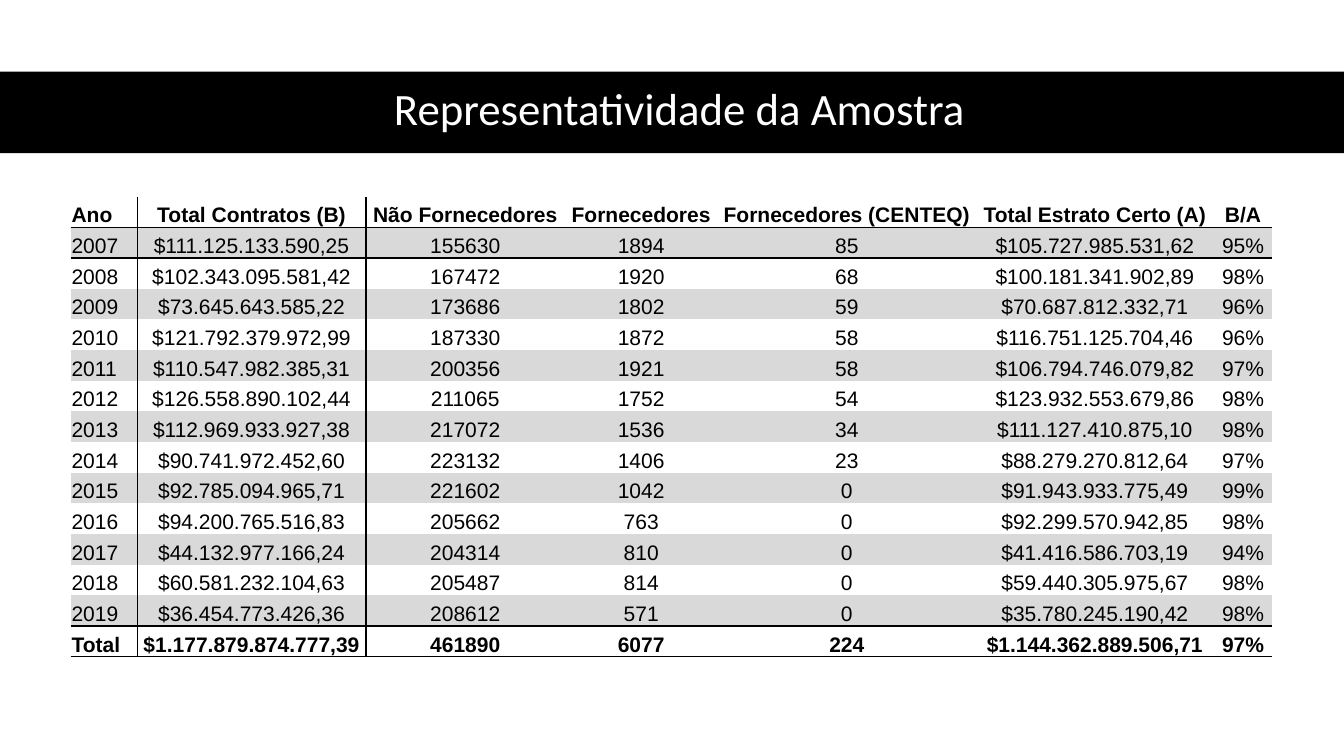
from dataclasses import dataclass

from lxml.etree import SubElement
from pptx import Presentation
from pptx.dml.color import RGBColor
from pptx.enum.shapes import MSO_SHAPE
from pptx.enum.text import MSO_ANCHOR, PP_ALIGN
from pptx.oxml.ns import qn
from pptx.util import Inches, Pt


@dataclass(frozen=True)
class Theme:
    """Colours, fonts and type sizes of the slide."""
    black: str = "000000"
    white: str = "FFFFFF"
    band: str = "D9D9D9"
    title_font: str = "Calibri"
    table_font: str = "Arial"
    title_size: int = 32
    table_size: int = 15
    rule_width: int = 1


THEME = Theme()
NO_GRID_STYLE = "{2D5ABB26-0587-4C30-8999-92F81FD0307C}"
COLUMN_WIDTHS = (0.66, 2.27, 1.97, 1.52, 2.56, 2.36, 0.58)
ROWS = (
    ("Ano", "Total Contratos (B)", "Não Fornecedores", "Fornecedores",
     "Fornecedores (CENTEQ)", "Total Estrato Certo (A)", "B/A"),
    ("2007", "$111.125.133.590,25", "155630", "1894", "85", "$105.727.985.531,62", "95%"),
    ("2008", "$102.343.095.581,42", "167472", "1920", "68", "$100.181.341.902,89", "98%"),
    ("2009", "$73.645.643.585,22", "173686", "1802", "59", "$70.687.812.332,71", "96%"),
    ("2010", "$121.792.379.972,99", "187330", "1872", "58", "$116.751.125.704,46", "96%"),
    ("2011", "$110.547.982.385,31", "200356", "1921", "58", "$106.794.746.079,82", "97%"),
    ("2012", "$126.558.890.102,44", "211065", "1752", "54", "$123.932.553.679,86", "98%"),
    ("2013", "$112.969.933.927,38", "217072", "1536", "34", "$111.127.410.875,10", "98%"),
    ("2014", "$90.741.972.452,60", "223132", "1406", "23", "$88.279.270.812,64", "97%"),
    ("2015", "$92.785.094.965,71", "221602", "1042", "0", "$91.943.933.775,49", "99%"),
    ("2016", "$94.200.765.516,83", "205662", "763", "0", "$92.299.570.942,85", "98%"),
    ("2017", "$44.132.977.166,24", "204314", "810", "0", "$41.416.586.703,19", "94%"),
    ("2018", "$60.581.232.104,63", "205487", "814", "0", "$59.440.305.975,67", "98%"),
    ("2019", "$36.454.773.426,36", "208612", "571", "0", "$35.780.245.190,42", "98%"),
    ("Total", "$1.177.879.874.777,39", "461890", "6077", "224", "$1.144.362.889.506,71", "97%"),
)


def format_text(paragraph, font_name, size, color, bold=False):
    """Format every run of a paragraph."""
    for run in paragraph.runs:
        run.font.name = font_name
        run.font.size = Pt(size)
        run.font.bold = bold
        run.font.color.rgb = RGBColor.from_string(color)


def add_title_band(slide, left, top, width, height):
    """Draw the black band and the title centred over it."""
    band = slide.shapes.add_shape(MSO_SHAPE.RECTANGLE, left, top, width, height)
    band.shadow.inherit = False
    band.fill.solid()
    band.fill.fore_color.rgb = RGBColor.from_string(THEME.black)
    band.line.fill.background()

    title = slide.shapes.add_textbox(left + Inches(0.61), top - Inches(0.01),
                                     Inches(12.26), height)
    text_frame = title.text_frame
    text_frame.word_wrap = True
    text_frame.vertical_anchor = MSO_ANCHOR.MIDDLE
    text_frame.text = "Representatividade da Amostra"
    paragraph = text_frame.paragraphs[0]
    paragraph.alignment = PP_ALIGN.CENTER
    paragraph.line_spacing = 0.9
    format_text(paragraph, THEME.title_font, THEME.title_size, THEME.white)


def add_borders(cell, sides):
    """Rule the given sides of a cell, in the order L, R, T, B."""
    properties = cell._tc.get_or_add_tcPr()
    for side in sides:
        line = SubElement(properties, qn(f"a:ln{side}"), w=str(Pt(THEME.rule_width)))
        fill = SubElement(line, qn("a:solidFill"))
        SubElement(fill, qn("a:srgbClr"), val=THEME.black)


def border_sides(row, column):
    """Return the ruled sides of the cell at a row and column."""
    last = len(ROWS) - 1
    rules = (
        ("L", column == 1),
        ("R", column == 0),
        ("T", row in (1, last)),
        ("B", row in (0, last - 1, last)),
    )
    return [side for side, ruled in rules if ruled]


def fill_cell(cell, text, row, column):
    """Write and format one table cell."""
    cell.margin_left = cell.margin_right = cell.margin_top = Inches(0.01)
    cell.margin_bottom = 0
    cell.vertical_anchor = MSO_ANCHOR.BOTTOM
    add_borders(cell, border_sides(row, column))
    cell.fill.solid()
    cell.fill.fore_color.rgb = RGBColor.from_string(THEME.band if row % 2 else THEME.white)
    cell.text_frame.text = text
    paragraph = cell.text_frame.paragraphs[0]
    paragraph.alignment = PP_ALIGN.CENTER if column else PP_ALIGN.LEFT
    format_text(paragraph, THEME.table_font, THEME.table_size, THEME.black,
                bold=row in (0, len(ROWS) - 1))


def add_sample_table(slide, left, top, width, height):
    """Build the table of contracts and suppliers by year."""
    frame = slide.shapes.add_table(len(ROWS), len(COLUMN_WIDTHS), left, top, width, height)
    table = frame.table
    table.first_row = False
    table.horz_banding = False
    table._tbl.tblPr.find(qn("a:tableStyleId")).text = NO_GRID_STYLE
    for column, column_width in zip(table.columns, COLUMN_WIDTHS):
        column.width = Inches(column_width)
    for row, values in enumerate(ROWS):
        table.rows[row].height = height // len(ROWS)
        for column, text in enumerate(values):
            fill_cell(table.cell(row, column), text, row, column)


def main():
    """Build and save the presentation."""
    presentation = Presentation()
    presentation.slide_width = Inches(13.33)
    presentation.slide_height = Inches(7.5)
    slide = presentation.slides.add_slide(presentation.slide_layouts[6])
    add_title_band(slide, 0, Inches(0.71), presentation.slide_width, Inches(0.81))
    add_sample_table(slide, Inches(0.7), Inches(1.95), Inches(11.92), Inches(4.57))
    presentation.save("out.pptx")


if __name__ == "__main__":
    main()
